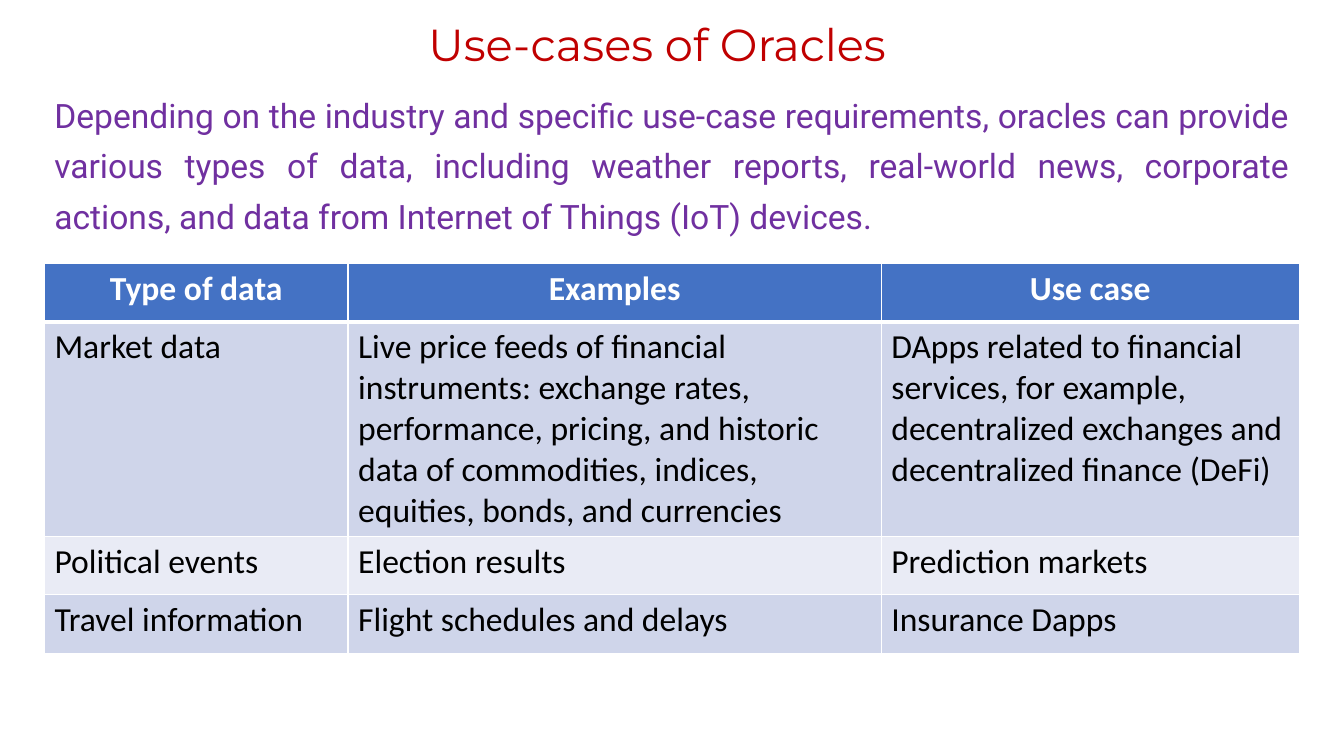
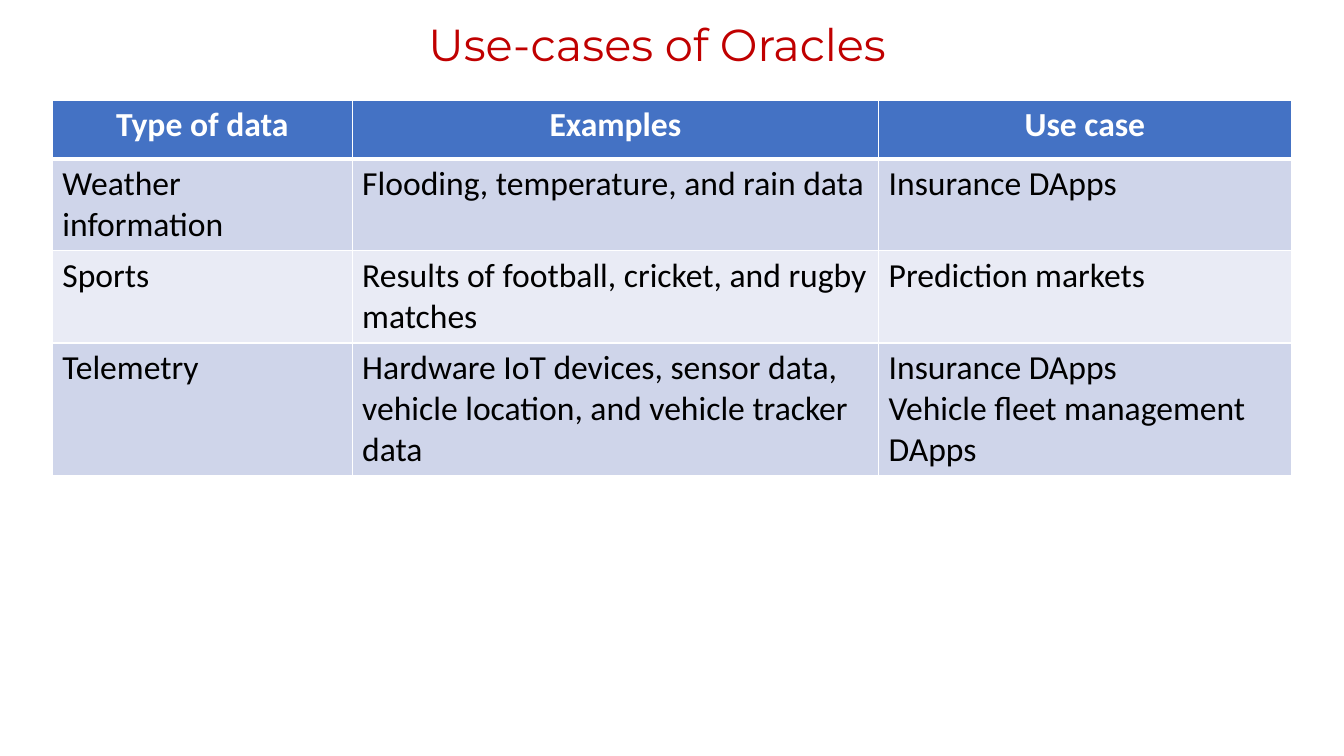
from lxml.etree import SubElement
from pptx import Presentation
from pptx.dml.color import RGBColor
from pptx.enum.text import MSO_ANCHOR, MSO_AUTO_SIZE, PP_ALIGN
from pptx.oxml.ns import qn
from pptx.util import Cm, Pt

COLORS = {
    "title": "C00000",
    "intro": "7030A0",
    "header": "4472C4",
    "band": "CFD5EA",
    "plain": "E9EBF5",
    "white": "FFFFFF",
    "text": "000000",
}
FORMATS = {
    "title": {"name": "Montserrat", "size": Pt(32), "bold": False, "color": "title"},
    "intro": {"name": "Roboto", "size": Pt(24), "color": "intro"},
    "header": {"name": "Calibri", "size": Pt(24), "bold": True, "color": "white"},
    "cell": {"name": "Calibri", "size": Pt(24), "bold": False, "color": "text"},
}
TITLE = "Use-cases of Oracles"
TITLE_BOX = (1.96, 0.41, 29.21, 1.57)
HEADERS = ("Type of data", "Examples", "Use case")
COLUMN_SHARES = (0.242, 0.425, 0.333)
ROW_HEIGHT = 1.48
LINE_HEIGHT = 1.03
CELL_PADDING = 0.25

INTRO = (
    "Depending on the industry and specific use-case requirements, oracles can "
    "provide various types of data, including weather reports, real-world news, "
    "corporate actions, and data from Internet of Things (IoT) devices."
)
MARKET_ROWS = (
    (5, "Market data",
     "Live price feeds of financial instruments: exchange rates, performance, "
     "pricing, and historic data of commodities, indices, equities, bonds, "
     "and currencies",
     "DApps related to financial services, for example, decentralized exchanges "
     "and decentralized finance (DeFi)"),
    (1, "Political events", "Election results", "Prediction markets"),
    (1, "Travel information", "Flight schedules and delays", "Insurance Dapps"),
)
WEATHER_ROWS = (
    (2, "Weather information", "Flooding, temperature, and rain data",
     "Insurance DApps"),
    (2, "Sports", "Results of football, cricket, and rugby matches",
     "Prediction markets"),
    (3, "Telemetry",
     "Hardware IoT devices, sensor data, vehicle location, and vehicle tracker data",
     "Insurance DApps\nVehicle fleet management DApps"),
)


def rgb(key):
    return RGBColor.from_string(COLORS[key])


def write(tf, text, style, align, spacing=1.0):
    tf.text = text
    for p in tf.paragraphs:
        p.alignment = align
        p.line_spacing = spacing
        p.space_before = Pt(0)
        for r in p.runs:
            for key, value in FORMATS[style].items():
                if key == "color":
                    r.font.color.rgb = rgb(value)
                else:
                    setattr(r.font, key, value)


def add_title(s, box):
    sp = s.shapes.title
    for key, value in zip(("left", "top", "width", "height"), box):
        setattr(sp, key, Cm(value))
    tf = sp.text_frame
    tf.auto_size = MSO_AUTO_SIZE.NONE
    tf.vertical_anchor = MSO_ANCHOR.MIDDLE
    write(tf, TITLE, "title", PP_ALIGN.CENTER, 0.9)


def add_intro(s, box):
    sp = s.shapes.add_textbox(*map(Cm, box))
    sp.text_frame.word_wrap = True
    write(sp.text_frame, INTRO, "intro", PP_ALIGN.JUSTIFY, 1.25)


def add_borders(cell, top, bottom):
    tcPr = cell._tc.get_or_add_tcPr()
    for tag, width in (("lnL", 1), ("lnR", 1), ("lnT", top), ("lnB", bottom)):
        ln = SubElement(tcPr, qn(f"a:{tag}"), w=str(Pt(width)))
        fill = SubElement(ln, qn("a:solidFill"))
        SubElement(fill, qn("a:srgbClr"), val=COLORS["white"])


def add_data_table(s, left, top, width, rows):
    heights = [ROW_HEIGHT] + [
        max(ROW_HEIGHT, lines * LINE_HEIGHT + CELL_PADDING) for lines, *_ in rows
    ]
    texts = [HEADERS] + [cells for _, *cells in rows]
    box = (left, top, width, sum(heights))
    table = s.shapes.add_table(len(texts), len(HEADERS), *map(Cm, box)).table
    table.horz_banding = False
    for column, share in zip(table.columns, COLUMN_SHARES):
        column.width = Cm(width * share)
    for i, (row, height, cells) in enumerate(zip(table.rows, heights, texts)):
        row.height = Cm(height)
        fill = "header" if i == 0 else "band" if i % 2 else "plain"
        style = "cell" if i else "header"
        align = PP_ALIGN.LEFT if i else PP_ALIGN.CENTER
        for cell, text in zip(row.cells, cells):
            add_borders(cell, 3 if i == 1 else 1, 1 if i else 3)
            cell.fill.solid()
            cell.fill.fore_color.rgb = rgb(fill)
            write(cell.text_frame, text, style, align)


def add_slide(prs):
    s = prs.slides.add_slide(prs.slide_layouts.get_by_name("Title Only"))
    add_title(s, TITLE_BOX)
    return s


def main():
    prs = Presentation()
    prs.slide_width, prs.slide_height = Cm(33.87), Cm(19.05)

    s = add_slide(prs)
    add_intro(s, (1.12, 2.01, 31.62, 4.4))
    add_data_table(s, 1.12, 6.63, 31.62, MARKET_ROWS)

    s = add_slide(prs)
    add_data_table(s, 1.32, 2.52, 31.22, WEATHER_ROWS)

    prs.save("out.pptx")


if __name__ == "__main__":
    main()
